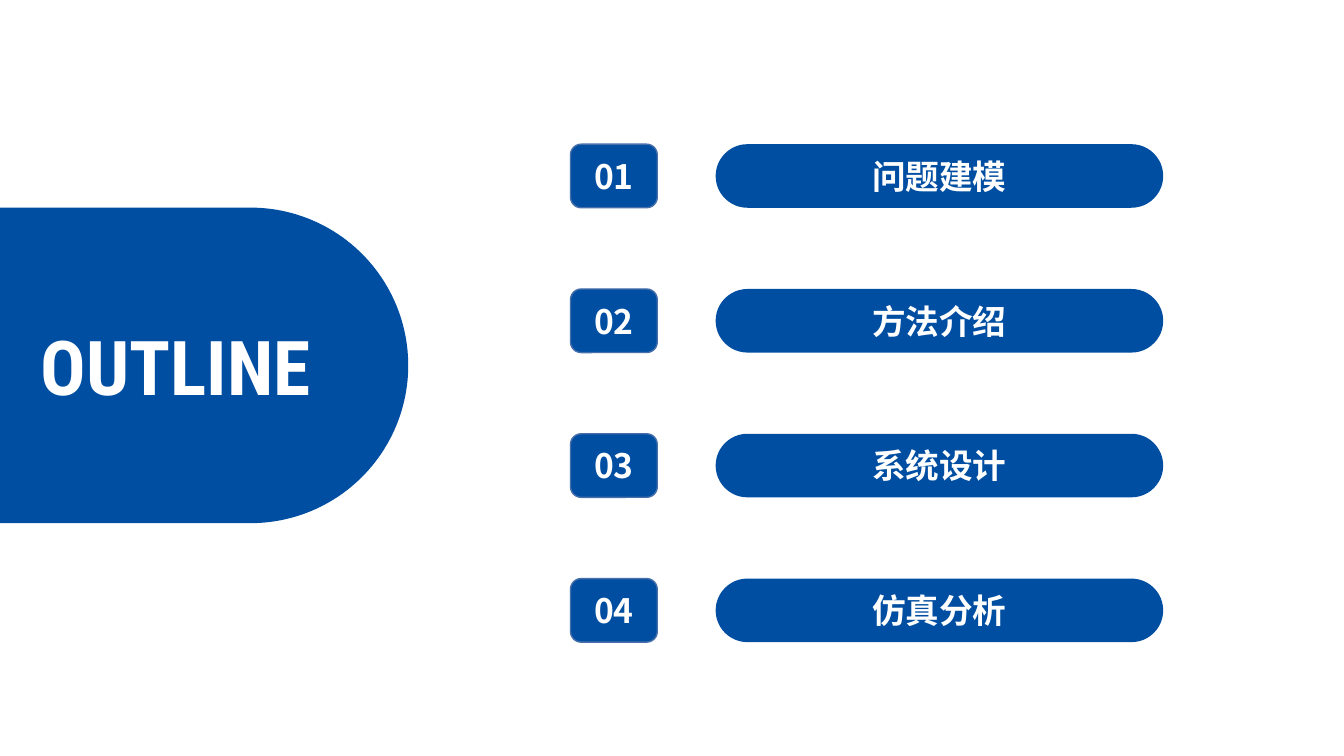
import pptx
import pptx.util
import pptx.dml.color
import pptx.enum.shapes
import pptx.enum.text
import pptx.oxml
import pptx.oxml.ns

Pt = pptx.util.Pt
COLOURS = {"blue": "004EA2", "edge": "476FAA", "white": "FFFFFF"}
TOPICS = ["问题建模", "方法介绍", "系统设计", "仿真分析"]


def paint(name):
    """Return the named colour."""
    return pptx.dml.color.RGBColor.from_string(COLOURS[name])


def write(frame, text, font="Arial", size=24, wrap=True):
    """Put centred bold white text in a frame."""
    frame.word_wrap = wrap
    frame.vertical_anchor = pptx.enum.text.MSO_ANCHOR.MIDDLE
    line = frame.paragraphs[0]
    line.alignment = pptx.enum.text.PP_ALIGN.CENTER
    run = line.add_run()
    run.text = text
    run.font.name = font
    run.font.size = Pt(size)
    run.font.bold = True
    run.font.color.rgb = paint("white")
    east = pptx.oxml.parse_xml(
        f'<a:ea {pptx.oxml.ns.nsdecls("a")} typeface="Noto Sans CJK SC"/>')
    run.font._element.append(east)


def block(shapes, x, y, w, h, bend=0.5, edge=None):
    """Add a blue rounded block."""
    kind = pptx.enum.shapes.MSO_SHAPE.ROUNDED_RECTANGLE
    shape = shapes.add_shape(kind, Pt(x), Pt(y), Pt(w), Pt(h))
    shape.adjustments[0] = bend
    shape.shadow.inherit = False
    shape.fill.solid()
    shape.fill.fore_color.rgb = paint("blue")
    if edge:
        shape.line.color.rgb = paint(edge)
        shape.line.width = Pt(1)
    else:
        shape.line.fill.background()
    return shape


def banner(slide, x, y, w, h):
    """Draw the title panel, which runs in from the left edge."""
    block(slide.shapes, x, y, w, h)
    high = 72.7
    box = slide.shapes.add_textbox(
        Pt(0), Pt(y + (h - high) / 2), Pt(251.3), Pt(high))
    write(box.text_frame, "OUTLINE", font="Roboto Condensed", size=54, wrap=False)
    box.text_frame.auto_size = pptx.enum.text.MSO_AUTO_SIZE.SHAPE_TO_FIT_TEXT


def agenda(slide, x, y, w, h):
    """Draw one numbered row per topic, spread evenly down the box."""
    high, badge, pill = 45.4, 62, 319.7
    step = (h - high) / (len(TOPICS) - 1)
    for i, topic in enumerate(TOPICS):
        top = y + i * step
        row = slide.shapes.add_group_shape().shapes
        mark = block(row, x, top, badge, high, bend=0.1667, edge="edge")
        write(mark.text_frame, f"{i + 1:02}", font="Noto Sans CJK SC")
        label = block(row, x + w - pill, top, pill, high)
        write(label.text_frame, topic)


def main():
    """Build and save the slide."""
    deck = pptx.Presentation()
    deck.slide_width, deck.slide_height = Pt(960), Pt(540)
    slide = deck.slides.add_slide(deck.slide_layouts[6])
    banner(slide, -122.4, 148.3, 414, 225.4)
    agenda(slide, 407.5, 103, 423.4, 355.7)
    deck.save("out.pptx")


if __name__ == "__main__":
    main()
